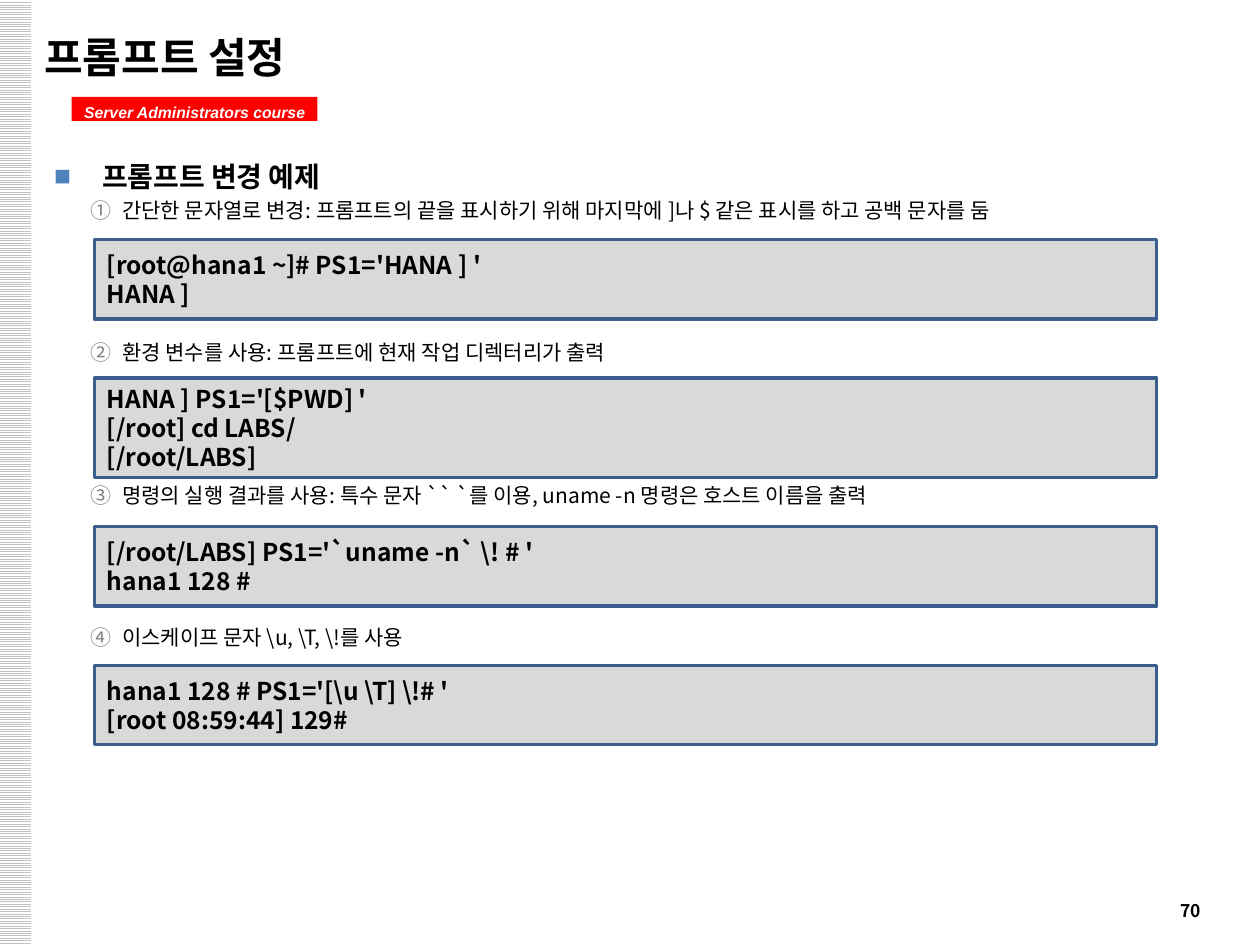
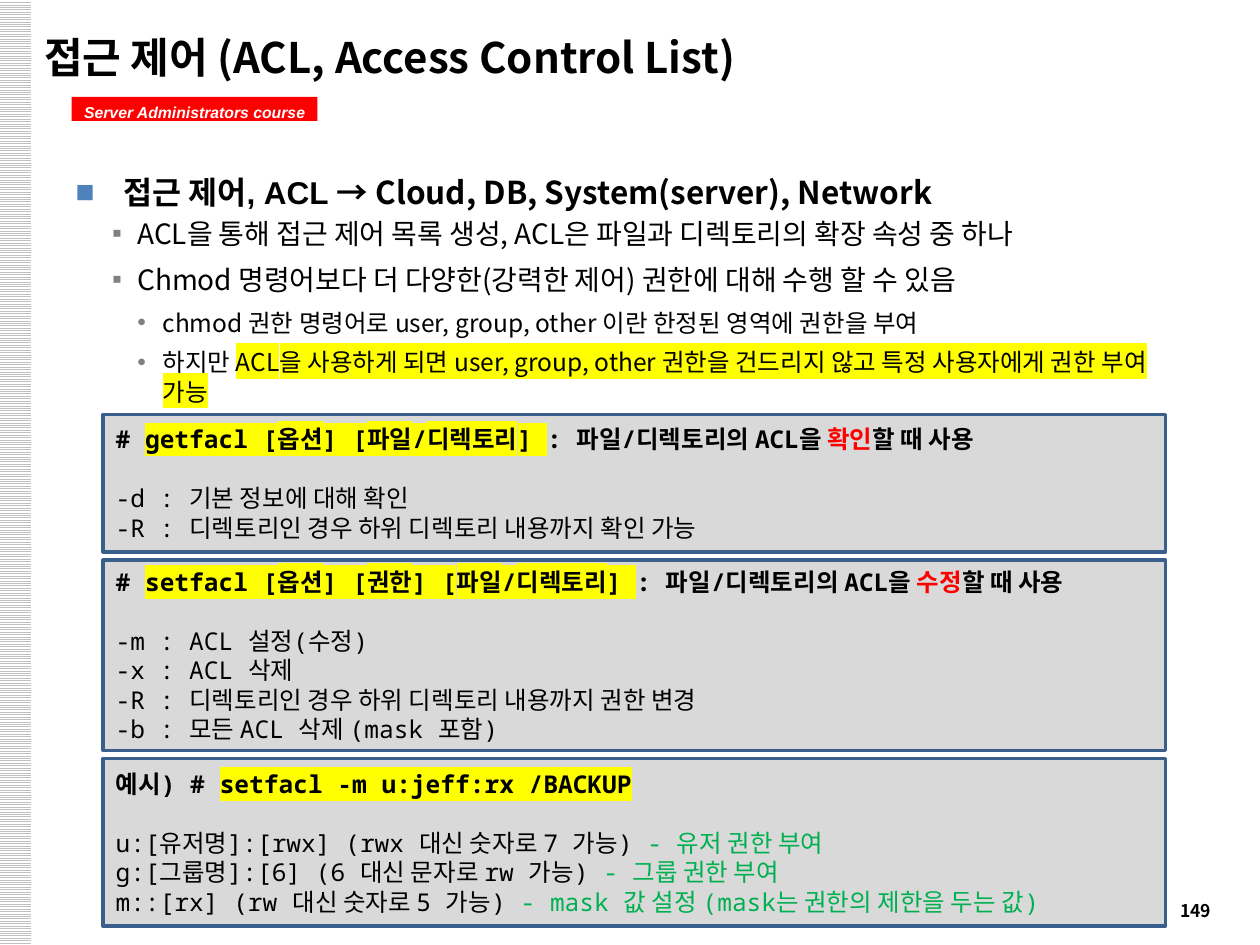
from dataclasses import dataclass

from lxml import etree
from pptx import Presentation
from pptx.dml.color import RGBColor
from pptx.enum.dml import MSO_PATTERN
from pptx.enum.shapes import MSO_SHAPE
from pptx.enum.text import MSO_ANCHOR, MSO_AUTO_SIZE, PP_ALIGN
from pptx.oxml.ns import qn
from pptx.util import Pt

RECT = MSO_SHAPE.RECTANGLE
LINES = MSO_PATTERN.LIGHT_HORIZONTAL
TOP, MIDDLE = MSO_ANCHOR.TOP, MSO_ANCHOR.MIDDLE
LEFT, CENTER = PP_ALIGN.LEFT, PP_ALIGN.CENTER
NO_FIT = MSO_AUTO_SIZE.NONE


@dataclass(frozen=True)
class Theme:
    black: str = "000000"
    white: str = "FFFFFF"
    red: str = "FF0000"
    green: str = "00B050"
    yellow: str = "FFFF00"
    blue: str = "4F81BD"
    gray: str = "808080"
    stripe: str = "C0C0C0"
    code_fill: str = "D9D9D9"
    code_line: str = "3A5F8C"
    sans: str = "Noto Sans CJK KR"
    mono: str = "Noto Sans Mono"
    latin: str = "Arial"
    title: int = 24
    code: int = 14
    number: int = 10
    label: int = 9


@dataclass(frozen=True)
class Level:
    size: int
    margin: float
    indent: float
    bullet: str
    color: str
    level: int = 0
    before: float = 0
    after: float = 0
    spacing: float = 1.0
    font: str = "Noto Sans CJK KR"
    bold: bool = False


T = Theme()
STYLES = {
    "mark": {"highlight": T.yellow},
    "red": {"color": T.red},
    "green": {"color": T.green},
    "sans": {"font": T.sans},
}
AUTO_NUMBER = "circleNumDbPlain"
STEP_HEAD = Level(16, 27.36, -27.36, "■", T.blue, spacing=1.5, font=T.latin, bold=True)
STEP_FIRST = Level(12, 38.88, -18, AUTO_NUMBER, T.gray, 1, 2.9, 3)
STEP_NEXT = Level(12, 38.88, -18, AUTO_NUMBER, T.gray, 1, 63.8, 3)
ACL_HEAD = Level(18, 27.36, -27.36, "■", T.blue, spacing=1.5, font=T.latin, bold=True)
ACL_POINT = Level(16, 35.28, -14.4, "▪", T.gray, 1, 3.2, 4)
ACL_DETAIL = Level(14, 49.68, -14.4, "•", T.gray, 2, 2.8, 3)


def rgb(value):
    return RGBColor.from_string(value)


def place(sp, box):
    sp.left, sp.top, sp.width, sp.height = (Pt(v) for v in box)


def style_run(r, size, font, bold, color=T.black, highlight=None, italic=False):
    r.font.size, r.font.bold, r.font.italic = Pt(size), bold, italic
    r.font.color.rgb = rgb(color)
    rPr = r.font._element
    if highlight:
        mark = etree.SubElement(rPr, qn("a:highlight"))
        etree.SubElement(mark, qn("a:srgbClr"), val=highlight)
    r.font.name = font
    etree.SubElement(rPr, qn("a:ea"), typeface=T.sans)


def write(p, line, size, font, bold, **look):
    for part in [line] if isinstance(line, str) else line:
        text, style = (part, None) if isinstance(part, str) else part
        r = p.add_run()
        r.text = text
        options = {"size": size, "font": font, "bold": bold, **look}
        style_run(r, **{**options, **STYLES.get(style, {})})


def paragraphs(tf, count):
    return [tf.paragraphs[0]] + [tf.add_paragraph() for _ in range(count - 1)]


def add_rect(s, box):
    sp = s.shapes.add_shape(RECT, *(Pt(v) for v in box))
    sp.shadow.inherit = False
    return sp


def add_band(s, box):
    sp = add_rect(s, box)
    sp.fill.patterned()
    sp.fill.pattern = LINES
    sp.fill.fore_color.rgb = rgb(T.stripe)
    sp.fill.back_color.rgb = rgb(T.white)
    sp.line.fill.background()


def add_course_label(s, box):
    sp = add_rect(s, box)
    sp.fill.solid()
    sp.fill.fore_color.rgb = rgb(T.red)
    sp.line.fill.background()
    tf = sp.text_frame
    tf.word_wrap, tf.vertical_anchor = False, TOP
    tf.margin_top, tf.margin_bottom = Pt(3.3), Pt(0)
    p = tf.paragraphs[0]
    p.alignment = CENTER
    write(p, "Server Administrators course", T.label, T.latin, True,
          color=T.white, italic=True)


def add_page_number(s, box, number):
    tf = s.shapes.add_textbox(*(Pt(v) for v in box)).text_frame
    tf.word_wrap = True
    write(tf.paragraphs[0], str(number), T.number, T.sans, True)


def set_title(s, box, text):
    sp = s.shapes.title
    place(sp, box)
    tf = sp.text_frame
    tf.auto_size, tf.vertical_anchor = NO_FIT, MIDDLE
    p = tf.paragraphs[0]
    p.alignment = LEFT
    write(p, text, T.title, T.sans, True)


def set_bullet(p, level):
    pPr = p._p.get_or_add_pPr()
    pPr.set("marL", str(Pt(level.margin)))
    pPr.set("indent", str(Pt(level.indent)))
    color = etree.SubElement(pPr, qn("a:buClr"))
    etree.SubElement(color, qn("a:srgbClr"), val=level.color)
    if level.bullet == AUTO_NUMBER:
        etree.SubElement(pPr, qn("a:buAutoNum"), type=AUTO_NUMBER)
    else:
        etree.SubElement(pPr, qn("a:buChar"), char=level.bullet)


def set_body(s, box, items):
    sp = s.placeholders[1]
    place(sp, box)
    tf = sp.text_frame
    tf.auto_size, tf.vertical_anchor = NO_FIT, TOP
    for p, (level, line) in zip(paragraphs(tf, len(items)), items):
        p.level = level.level
        set_bullet(p, level)
        p.line_spacing = level.spacing
        p.space_before, p.space_after = Pt(level.before), Pt(level.after)
        write(p, line, level.size, level.font, level.bold)


def add_code_box(s, box, lines, font, bold_rest=True, head_gap=0):
    sp = add_rect(s, box)
    sp.fill.solid()
    sp.fill.fore_color.rgb = rgb(T.code_fill)
    sp.line.color.rgb = rgb(T.code_line)
    sp.line.width = Pt(2)
    tf = sp.text_frame
    tf.word_wrap, tf.vertical_anchor = True, MIDDLE
    for i, (p, line) in enumerate(zip(paragraphs(tf, len(lines)), lines)):
        p.alignment = LEFT
        write(p, line, T.code, font, bold_rest or i == 0)
    tf.paragraphs[0].space_after = Pt(head_gap)


def add_base(prs, title, number):
    s = prs.slides.add_slide(prs.slide_layouts[1])
    add_band(s, (0, 0, 18, 540))
    add_page_number(s, (667.4, 514, 52.6, 4), number)
    add_course_label(s, (41, 55.4, 140.4, 13.7))
    set_title(s, (18, 10.8, 666, 43.2), title)
    return s


def prompt_slide(prs):
    s = add_base(prs, "프롬프트 설정", 70)
    set_body(s, (23.76, 77.76, 660.24, 419.76), [
        (STEP_HEAD, "프롬프트 변경 예제"),
        (STEP_FIRST, "간단한 문자열로 변경: 프롬프트의 끝을 표시하기 위해 마지막에 ]나 $ 같은 표시를 하고 공백 문자를 둠"),
        (STEP_NEXT, "환경 변수를 사용: 프롬프트에 현재 작업 디렉터리가 출력"),
        (STEP_NEXT, "명령의 실행 결과를 사용: 특수 문자 `` `를 이용, uname -n 명령은 호스트 이름을 출력"),
        (STEP_NEXT, r"이스케이프 문자 \u, \T, \!를 사용"),
    ])
    examples = [
        (136.8, 45.4, ["[root@hana1 ~]# PS1='HANA ] '", "HANA ]"]),
        (216, 56.9, ["HANA ] PS1='[$PWD] '", "[/root] cd LABS/", "[/root/LABS]"]),
        (301, 45.4, [r"[/root/LABS] PS1='`uname -n` \! # '", "hana1 128 #"]),
        (380.2, 45.4, [r"hana1 128 # PS1='[\u \T] \!# '", "[root 08:59:44] 129#"]),
    ]
    for top, height, lines in examples:
        add_code_box(s, (54, top, 607, height), lines, T.sans)


def acl_slide(prs):
    s = add_base(prs, "접근 제어 (ACL, Access Control List)", 149)
    set_body(s, (36, 84.24, 653.04, 435.6), [
        (ACL_HEAD, ["접근 제어, ACL ", ("→ Cloud, DB, System(server), Network", "sans")]),
        (ACL_POINT, "ACL을 통해 접근 제어 목록 생성, ACL은 파일과 디렉토리의 확장 속성 중 하나"),
        (ACL_POINT, "Chmod 명령어보다 더 다양한(강력한 제어) 권한에 대해 수행 할 수 있음"),
        (ACL_DETAIL, "chmod 권한 명령어로 user, group, other 이란 한정된 영역에 권한을 부여"),
        (ACL_DETAIL, ["하지만 ", ("ACL을 사용하게 되면 user, group, other 권한을 건드리지 않고 특정 사용자에게 권한 부여 가능", "mark")]),
    ])
    commands = [
        (78.5, [
            ["# ", ("getfacl [옵션] [파일/디렉토리] ", "mark"),
             ": 파일/디렉토리의 ACL을 ", ("확인", "red"), "할 때 사용"],
            "-d : 기본 정보에 대해 확인",
            "-R : 디렉토리인 경우 하위 디렉토리 내용까지 확인 가능",
        ]),
        (108.7, [
            ["# ", ("setfacl [옵션] [권한] [파일/디렉토리] ", "mark"),
             ": 파일/디렉토리의 ACL을 ", ("수정", "red"), "할 때 사용"],
            "-m : ACL 설정(수정)",
            "-x : ACL 삭제",
            "-R : 디렉토리인 경우 하위 디렉토리 내용까지 권한 변경",
            "-b : 모든 ACL 삭제 (mask 포함)",
        ]),
        (95.8, [
            ["예시) # ", ("setfacl -m u:jeff:rx /BACKUP", "mark")],
            ["u:[유저명]:[rwx] (rwx 대신 숫자로 7 가능) ", ("- 유저 권한 부여", "green")],
            ["g:[그룹명]:[6] (6 대신 문자로 rw 가능) ", ("- 그룹 권한 부여", "green")],
            ["m::[rx] (rw 대신 숫자로 5 가능) ",
             ("- mask 값 설정 (mask는 권한의 제한을 두는 값)", "green")],
        ]),
    ]
    top, gap = 236.9, 4.7
    for height, lines in commands:
        add_code_box(s, (59, top, 607, height), lines, T.mono, False, 16.8)
        top += height + gap


def main():
    prs = Presentation()
    prs.slide_width, prs.slide_height = Pt(720), Pt(540)
    prompt_slide(prs)
    acl_slide(prs)
    prs.save("out.pptx")


if __name__ == "__main__":
    main()
